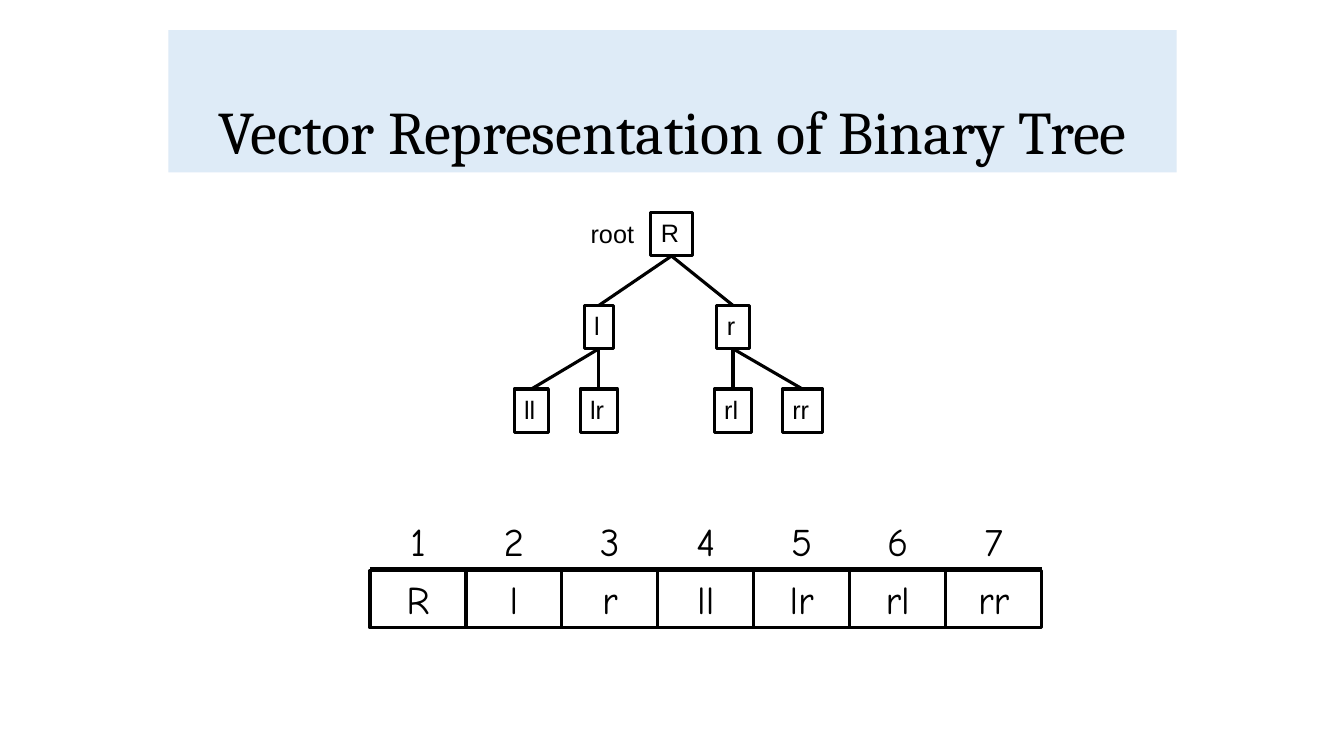
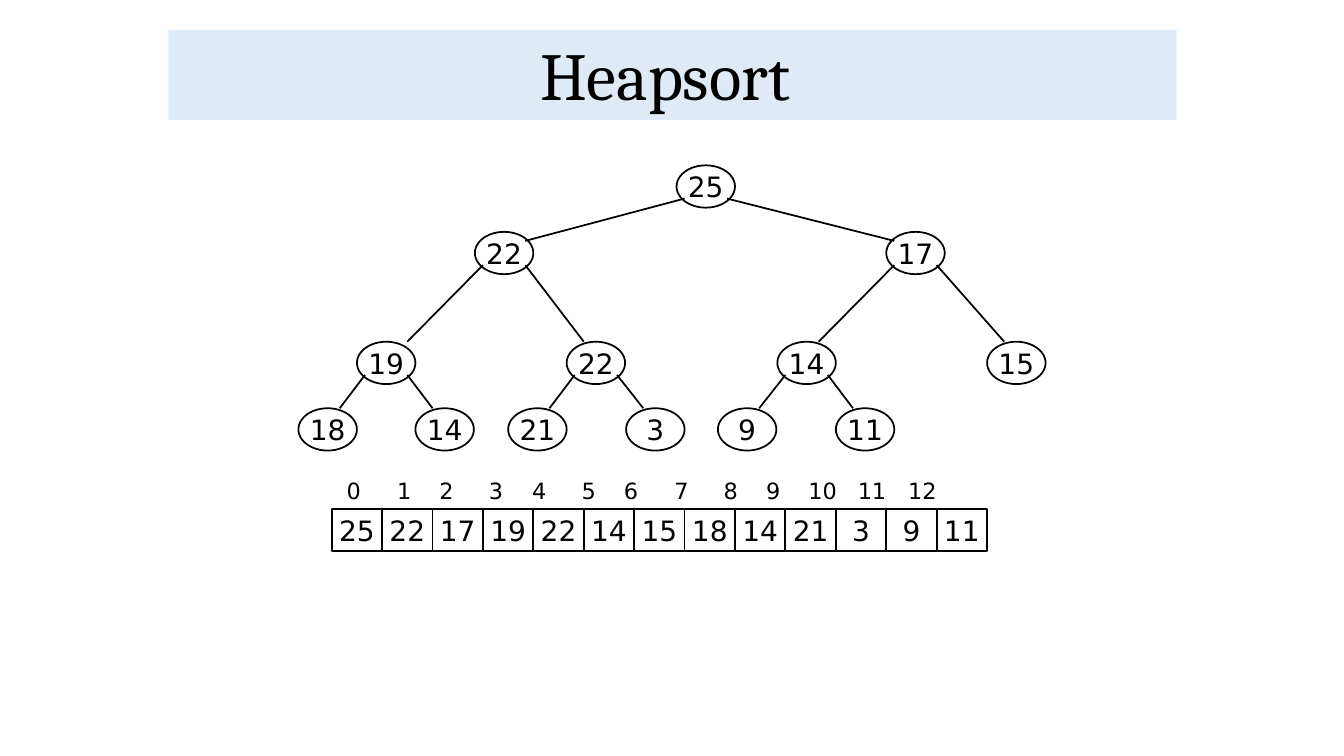
from dataclasses import dataclass

from lxml import etree
from pptx import Presentation
from pptx import util as u
from pptx.dml.color import RGBColor
from pptx.enum import shapes, text
from pptx.oxml import ns

RECT = shapes.MSO_SHAPE.RECTANGLE
OVAL = shapes.MSO_SHAPE.OVAL
LEFT, CENTER = text.PP_ALIGN.LEFT, text.PP_ALIGN.CENTER
TOP, MIDDLE, BOTTOM = (
    text.MSO_ANCHOR.TOP, text.MSO_ANCHOR.MIDDLE, text.MSO_ANCHOR.BOTTOM)
BOTTOM_SITE, TOP_SITE = 2, 0


@dataclass(frozen=True)
class TextStyle:
    font: str
    size: float
    align: object = CENTER
    anchor: object = TOP
    wrap: bool = True


@dataclass(frozen=True)
class Theme:
    ink: RGBColor = RGBColor(0, 0, 0)
    band: RGBColor = RGBColor(0xDE, 0xEB, 0xF7)
    thick: float = 2.25
    thin: float = 1.25
    title_font: str = "Cambria"
    tree: TextStyle = TextStyle("Arial", 18, align=LEFT, wrap=False)
    vector: TextStyle = TextStyle("Comic Neue", 28)
    heap: TextStyle = TextStyle("DejaVu Sans", 20, anchor=MIDDLE, wrap=False)
    index: TextStyle = TextStyle("DejaVu Sans", 16, align=LEFT)


class Deck:
    def __init__(self, theme):
        self.theme = theme
        self.prs = Presentation()
        self.prs.slide_width = u.Inches(13.33)
        self.prs.slide_height = u.Inches(7.5)
        self.s = None

    def slide(self, title, size, height):
        self.s = self.prs.slides.add_slide(self.prs.slide_layouts[6])
        style = TextStyle(self.theme.title_font, size, anchor=BOTTOM)
        sp = self.label(title, 1.67, 0.3, 10, height, style)
        sp.fill.solid()
        sp.fill.fore_color.rgb = self.theme.band
        sp.text_frame.paragraphs[0].line_spacing = 0.9

    def set_text(self, sp, words, style, tabs=()):
        tf = sp.text_frame
        tf.word_wrap = style.wrap
        tf.vertical_anchor = style.anchor
        p = tf.paragraphs[0]
        p.text = words
        p.alignment = style.align
        if tabs:
            tab_list = etree.SubElement(p._p.get_or_add_pPr(), ns.qn("a:tabLst"))
            for pos in tabs:
                etree.SubElement(tab_list, ns.qn("a:tab"),
                                 pos=str(u.Inches(pos)), algn="ctr")
        p.font.name = style.font
        p.font.size = u.Pt(style.size)
        p.font.color.rgb = self.theme.ink

    def label(self, words, x, y, w, h, style, tabs=()):
        sp = self.s.shapes.add_textbox(*map(u.Inches, (x, y, w, h)))
        self.set_text(sp, words, style, tabs)
        return sp

    def node(self, kind, words, x, y, w, h, style, weight):
        sp = self.s.shapes.add_shape(kind, *map(u.Inches, (x, y, w, h)))
        sp.shadow.inherit = False
        sp.fill.background()
        sp.line.color.rgb = self.theme.ink
        sp.line.width = u.Pt(weight)
        self.set_text(sp, words, style)
        return sp

    def line(self, x1, y1, x2, y2, weight):
        cx = self.s.shapes.add_connector(
            shapes.MSO_CONNECTOR.STRAIGHT, *map(u.Inches, (x1, y1, x2, y2)))
        cx.line.color.rgb = self.theme.ink
        cx.line.width = u.Pt(weight)
        etree.SubElement(cx._element.spPr, ns.qn("a:effectLst"))
        return cx

    def join(self, parent, child, weight):
        cx = self.line(0, 0, 1, 1, weight)
        cx.begin_connect(parent, BOTTOM_SITE)
        cx.end_connect(child, TOP_SITE)

    def cells(self, values, x, y, w, h, style, weight):
        for i, value in enumerate(values):
            self.node(RECT, value, x + i * w, y, w, h, style, weight)


def vector_slide(deck):
    theme = deck.theme
    deck.slide("Vector Representation of Binary Tree", 43.2, 1.41)

    rows = [2.11, 3.03, 3.86]
    tree = [("R", 6.66, 0.41), ("l", 5.94, 0.29), ("r", 7.27, 0.32),
            ("ll", 5.27, 0.34), ("lr", 5.94, 0.37),
            ("rl", 7.27, 0.37), ("rr", 7.96, 0.4)]
    nodes = []
    for i, (name, center, w) in enumerate(tree):
        y = rows[(i + 1).bit_length() - 1]
        nodes.append(deck.node(RECT, name, center - w / 2, y, w, 0.43,
                               theme.tree, theme.thick))
        if i:
            deck.join(nodes[(i - 1) // 2], nodes[i], theme.thick)
    deck.label("root", 5.76, 2.12, 0.63, 0.4, theme.tree)

    left, width = 3.67, 6.66
    w = width / len(tree)
    deck.cells([name for name, _, _ in tree], left, 5.66, w, 0.57,
               theme.vector, theme.thick)
    deck.line(left, 5.64, left + width, 5.64, theme.thick)
    for i in range(len(tree)):
        deck.label(str(i + 1), left + i * w, 5.08, w, 0.57, theme.vector)


def heapsort_slide(deck):
    theme = deck.theme
    deck.slide("Heapsort ", 48, 0.89)

    heap = [25, 22, 17, 19, 22, 14, 15, 18, 14, 21, 3, 9, 11]
    rows = [1.64, 2.3, 3.39, 4.05]
    centers = [7, 5, 9.08, 3.83, 5.91, 8, 10.08,
               3.25, 4.41, 5.33, 6.5, 7.41, 8.58]
    w, h = 0.58, 0.42
    for i, (value, center) in enumerate(zip(heap, centers)):
        y = rows[(i + 1).bit_length() - 1]
        deck.node(OVAL, str(value), center - w / 2, y, w, h,
                  theme.heap, theme.thin)
        if i:
            parent = (i - 1) // 2
            side = -1 if i % 2 else 1
            reach = 0.21 if i <= 3 else 0.12
            drop = 0.09 if i <= 2 else 0
            parent_y = rows[(parent + 1).bit_length() - 1]
            deck.line(centers[parent] + side * 0.21, parent_y + 0.33,
                      center - side * reach, y + drop, theme.thin)

    deck.cells(map(str, heap), 3.29, 5.05, 0.5, h, theme.heap, theme.thin)
    tabs = [0.2, 0.7, 1.12, 1.61, 2.04, 2.53, 2.95,
            3.45, 3.94, 4.36, 4.85, 5.34, 5.84]
    indexes = "".join(f"\t{i}" for i in range(len(heap)))
    deck.label(indexes, 3.21, 4.68, 6.92, 0.37, theme.index, tabs)


def main():
    deck = Deck(Theme())
    vector_slide(deck)
    heapsort_slide(deck)
    deck.prs.save("out.pptx")


if __name__ == "__main__":
    main()
